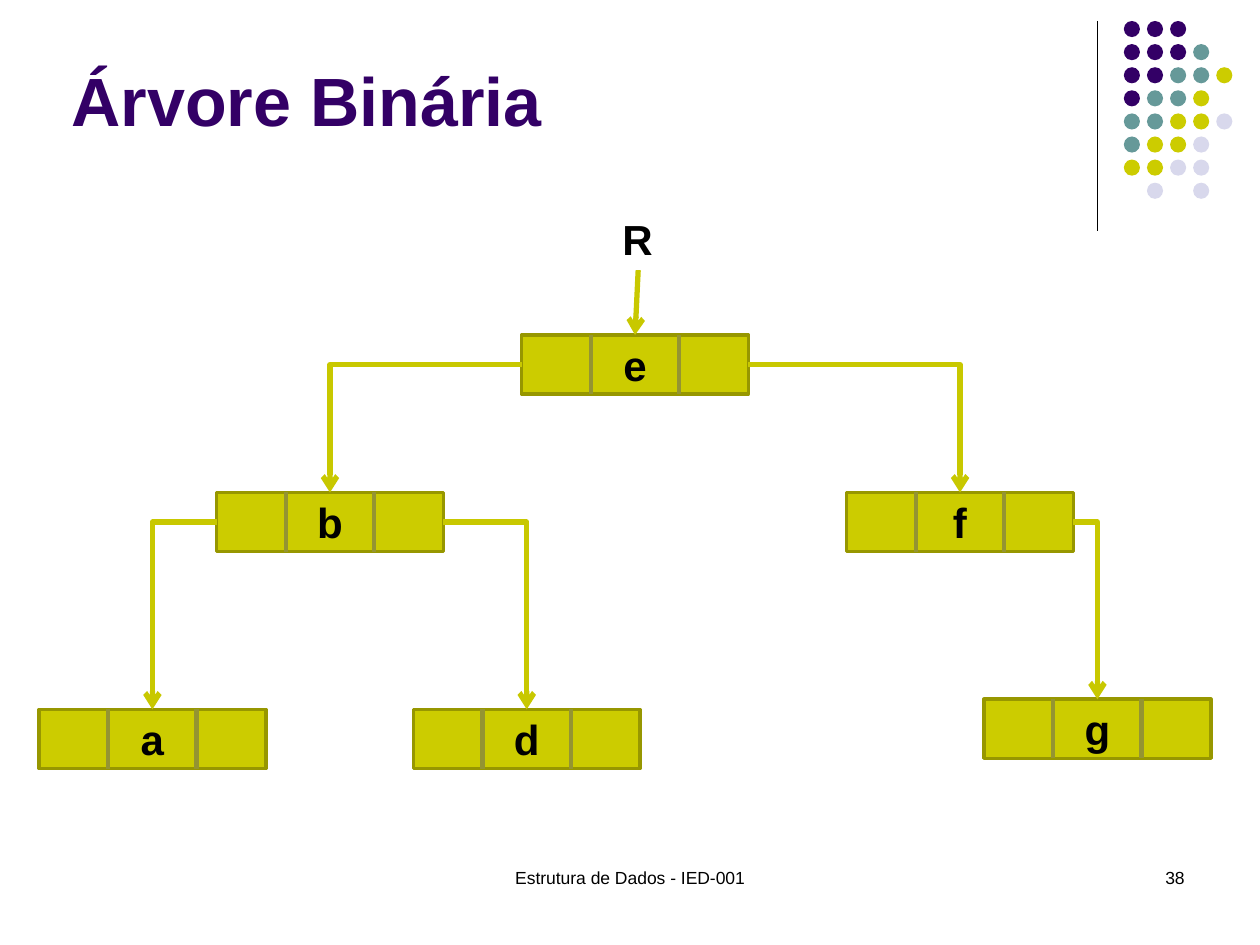
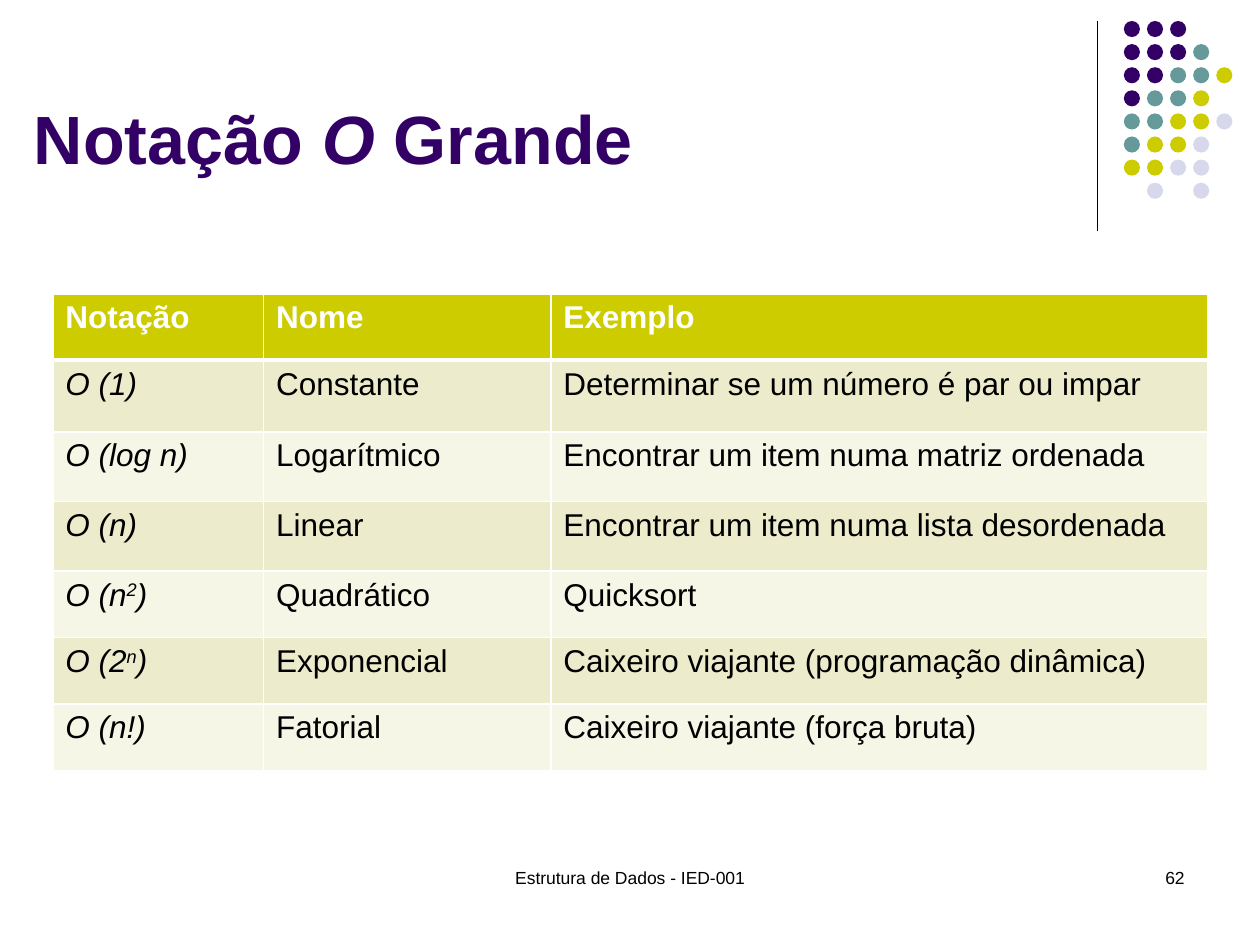
"""Build two data structure slides: a binary tree and a Big O table."""
from dataclasses import dataclass

from lxml.etree import SubElement
from pptx import Presentation
from pptx.dml.color import RGBColor as Rgb
from pptx.enum.shapes import MSO_CONNECTOR as Link, MSO_SHAPE as Preset
from pptx.enum.text import MSO_ANCHOR as Anchor, PP_ALIGN as Align
from pptx.oxml.ns import qn
from pptx.util import Pt


@dataclass(frozen=True)
class Theme:
    font: str = "Arial"
    purple: str = "330066"
    teal: str = "669999"
    lime: str = "CCCC00"
    lilac: str = "D8D8EC"
    black: str = "000000"
    white: str = "FFFFFF"
    node_border: str = "979700"
    node_divider: str = "949432"
    arrow: str = "C8C800"
    bands: tuple = ("ECECCC", "F6F6E7")
    title_size: float = 39
    node_size: float = 24
    table_size: float = 18
    footer_size: float = 10


THEME = Theme()
FOOTER = "Estrutura de Dados - IED-001"
DOT_ROWS = ("PPP", "PPPT", "PPTTY", "PTTY", "TTYYL", "TYYL", "YYLL", " L L")
DOT_COLORS = {"P": THEME.purple, "T": THEME.teal, "Y": THEME.lime, "L": THEME.lilac}
NODE_WIDTH, NODE_HEIGHT = 129.6, 33.8
DIVIDERS = (39.6, 90)
NODES = {
    "e": (298.1, 191.4),
    "b": (123.8, 281.4),
    "f": (483.8, 281.4),
    "d": (236.2, 405.4),
    "a": (22.3, 405.4),
    "g": (562.3, 399.6),
}
LEFT, RIGHT = 1, 3
BRANCHES = (("e", LEFT, "b"), ("e", RIGHT, "f"), ("f", RIGHT, "g"),
            ("b", RIGHT, "d"), ("b", LEFT, "a"))
COLUMN_WIDTHS = (120.4, 164.2, 375.4)
ROW_HEIGHTS = (37.8, 41, 39.8, 39.8, 38, 38, 38)
HEADER = ("Notação", "Nome", "Exemplo")
COMPLEXITIES = (
    (("O (1)",), "Constante", "Determinar se um número é par ou impar"),
    (("O (log n)",), "Logarítmico", "Encontrar um item numa matriz ordenada"),
    (("O (n)",), "Linear", "Encontrar um item numa lista desordenada"),
    (("O (n", "2", ")"), "Quadrático", "Quicksort"),
    (("O (2", "n", ")"), "Exponencial", "Caixeiro viajante (programação dinâmica)"),
    (("O (n!)",), "Fatorial", "Caixeiro viajante (força bruta)"),
)


def style_paragraph(paragraph, size, color, bold=False, align=Align.LEFT):
    """Set the font and alignment of a whole paragraph."""
    paragraph.alignment = align
    font = paragraph.font
    font.name, font.size, font.bold = THEME.font, Pt(size), bold
    font.color.rgb = Rgb.from_string(color)


def paint(shape, fill):
    """Give a shape a solid fill, no line and no shadow."""
    shape.shadow.inherit = False
    shape.fill.solid()
    shape.fill.fore_color.rgb = Rgb.from_string(fill)
    shape.line.fill.background()


def add_text(slide, box, text, size, color=THEME.black, bold=False,
             align=Align.LEFT, anchor=Anchor.TOP, wrap=True):
    """Add a text box and return it."""
    shape = slide.shapes.add_textbox(*map(Pt, box))
    frame = shape.text_frame
    frame.word_wrap = wrap
    frame.vertical_anchor = anchor
    paragraph = frame.paragraphs[0]
    paragraph.text = text
    style_paragraph(paragraph, size, color, bold, align)
    return shape


def add_title(slide, left, top, height, text, italic=None):
    """Add the slide title, with one word in italics if given."""
    shape = add_text(slide, (left, top, 594, height), "" if italic else text,
                     THEME.title_size, THEME.purple, True, anchor=Anchor.BOTTOM)
    if italic:
        before, after = text.split(italic)
        for part in (before, italic, after):
            run = shape.text_frame.paragraphs[0].add_run()
            run.text = part
            run.font.italic = part == italic


def add_line(slide, color, width, points=(0, 0, 0, 0), kind=Link.STRAIGHT, arrow=False):
    """Add a connector without shadow, with an open arrowhead if asked."""
    connector = slide.shapes.add_connector(kind, *map(Pt, points))
    connector.line.color.rgb = Rgb.from_string(color)
    connector.line.width = Pt(width)
    if arrow:
        SubElement(connector.get_or_add_ln(), qn("a:tailEnd"), type="arrow")
    SubElement(connector.element.spPr, qn("a:effectLst"))
    return connector


def add_arrow(slide, source, side, target, kind):
    """Join a side of one shape to the top of another with an arrow."""
    connector = add_line(slide, THEME.arrow, 3, kind=kind, arrow=True)
    connector.begin_connect(source, side)
    connector.end_connect(target, 0)
    if kind == Link.ELBOW:
        connector.element.spPr.find(qn("a:prstGeom")).set("prst", "bentConnector2")


def add_node(slide, label, left, top):
    """Add a tree node: a labelled box split in three fields."""
    node = slide.shapes.add_shape(Preset.RECTANGLE, *map(Pt, (left, top, NODE_WIDTH, NODE_HEIGHT)))
    paint(node, THEME.lime)
    node.line.color.rgb = Rgb.from_string(THEME.node_border)
    node.line.width = Pt(2)
    node.text_frame.vertical_anchor = Anchor.MIDDLE
    paragraph = node.text_frame.paragraphs[0]
    paragraph.text = label
    style_paragraph(paragraph, THEME.node_size, THEME.black, True, Align.CENTER)
    for offset in DIVIDERS:
        x = left + offset
        add_line(slide, THEME.node_divider, 2.5, (x, top, x, top + NODE_HEIGHT))
    return node


def add_base_slide(presentation, number):
    """Add a blank slide with the dot pattern, rule, footer and number."""
    slide = presentation.slides.add_slide(presentation.slide_layouts[6])
    add_line(slide, THEME.black, 0.75, (627, 12, 627, 132))
    pitch, diameter = 13.2, 9.2
    for row, pattern in enumerate(DOT_ROWS):
        for column, key in enumerate(pattern):
            if key in DOT_COLORS:
                box = (642.2 + column * pitch, 12 + row * pitch, diameter, diameter)
                paint(slide.shapes.add_shape(Preset.OVAL, *map(Pt, box)), DOT_COLORS[key])
    add_text(slide, (246, 492, 228, 36), FOOTER, THEME.footer_size, align=Align.CENTER)
    add_text(slide, (516, 492, 168, 36), str(number), THEME.footer_size, align=Align.RIGHT)
    return slide


def add_borders(cell, bottom_width):
    """Draw white borders around a table cell."""
    properties = cell._tc.get_or_add_tcPr()
    for side, width in (("L", 1), ("R", 1), ("T", 1), ("B", bottom_width)):
        line = SubElement(properties, qn(f"a:ln{side}"), w=str(Pt(width)))
        fill = SubElement(line, qn("a:solidFill"))
        SubElement(fill, qn("a:srgbClr"), val=THEME.white)


def fill_cell(cell, content, fill, header=False):
    """Write and style a cell; a tuple is italic, its second part raised."""
    add_borders(cell, 3 if header else 1)
    cell.fill.solid()
    cell.fill.fore_color.rgb = Rgb.from_string(fill)
    paragraph = cell.text_frame.paragraphs[0]
    if isinstance(content, tuple):
        for index, part in enumerate(content):
            run = paragraph.add_run()
            run.text = part
            if index == 1:
                run.font._element.set("baseline", "30000")
    else:
        paragraph.text = content
    style_paragraph(paragraph, THEME.table_size, THEME.white if header else THEME.black, header)
    paragraph.font.italic = isinstance(content, tuple)


def add_complexity_table(slide):
    """Add the table of complexity classes."""
    rows = (HEADER, *COMPLEXITIES)
    box = (30.2, 168, sum(COLUMN_WIDTHS), sum(ROW_HEIGHTS))
    table = slide.shapes.add_table(len(rows), len(HEADER), *map(Pt, box)).table
    table.horz_banding = False
    for column, width in zip(table.columns, COLUMN_WIDTHS):
        column.width = Pt(width)
    for index, (contents, height) in enumerate(zip(rows, ROW_HEIGHTS)):
        table.rows[index].height = Pt(height)
        fill = THEME.bands[(index - 1) % 2] if index else THEME.lime
        for column, content in enumerate(contents):
            fill_cell(table.cell(index, column), content, fill, header=index == 0)


def build_tree_slide(presentation):
    """Build the binary tree slide."""
    slide = add_base_slide(presentation, 38)
    add_title(slide, 33.8, 22.3, 61.2, "Árvore Binária")
    nodes = {label: add_node(slide, label, *place) for label, place in NODES.items()}
    root = add_text(slide, (348.5, 118.4, 32.4, 36), "R", THEME.node_size, bold=True, wrap=False)
    add_arrow(slide, root, 2, nodes["e"], Link.STRAIGHT)
    for parent, side, child in BRANCHES:
        add_arrow(slide, nodes[parent], side, nodes[child], Link.ELBOW)


def build_notation_slide(presentation):
    """Build the Big O notation slide."""
    slide = add_base_slide(presentation, 62)
    add_title(slide, 12.2, 53.3, 51.8, "Notação O Grande", italic="O")
    add_complexity_table(slide)


def main():
    """Create and save the presentation."""
    presentation = Presentation()
    presentation.slide_width, presentation.slide_height = Pt(720), Pt(540)
    build_tree_slide(presentation)
    build_notation_slide(presentation)
    presentation.save("out.pptx")


if __name__ == "__main__":
    main()
